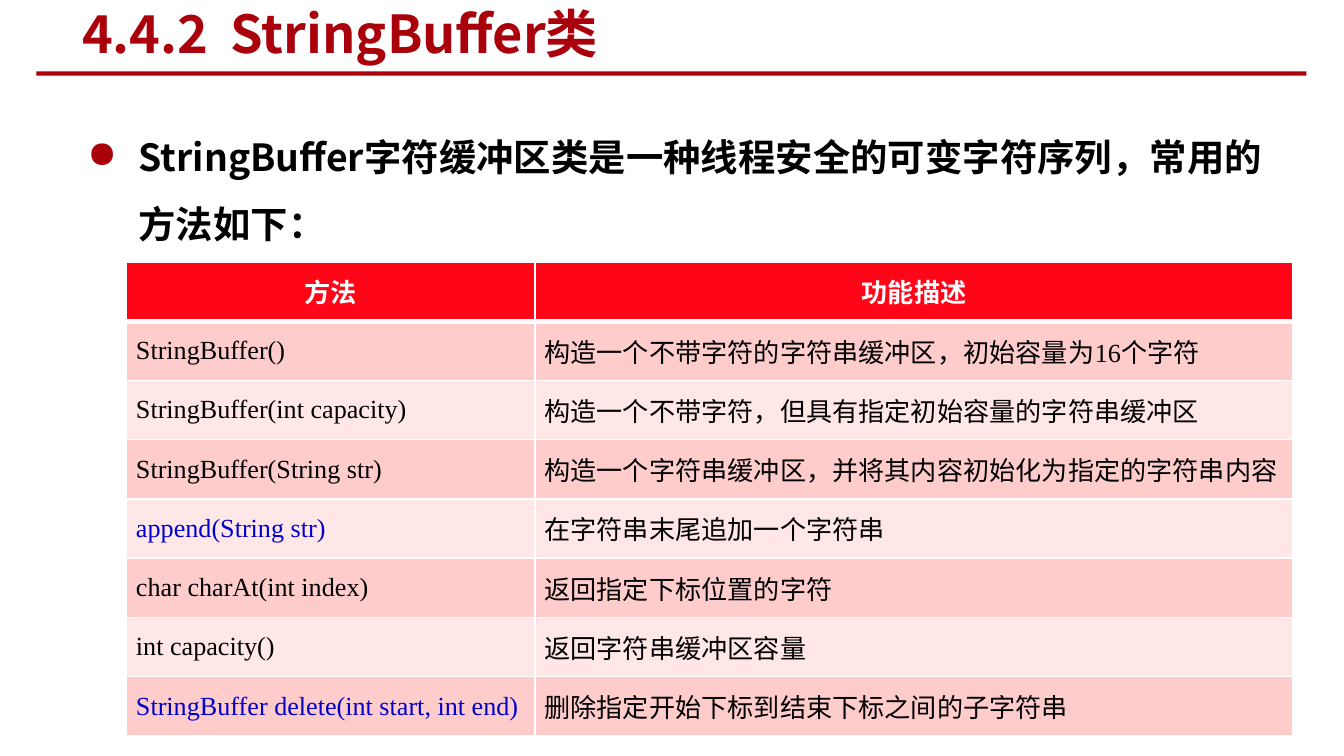
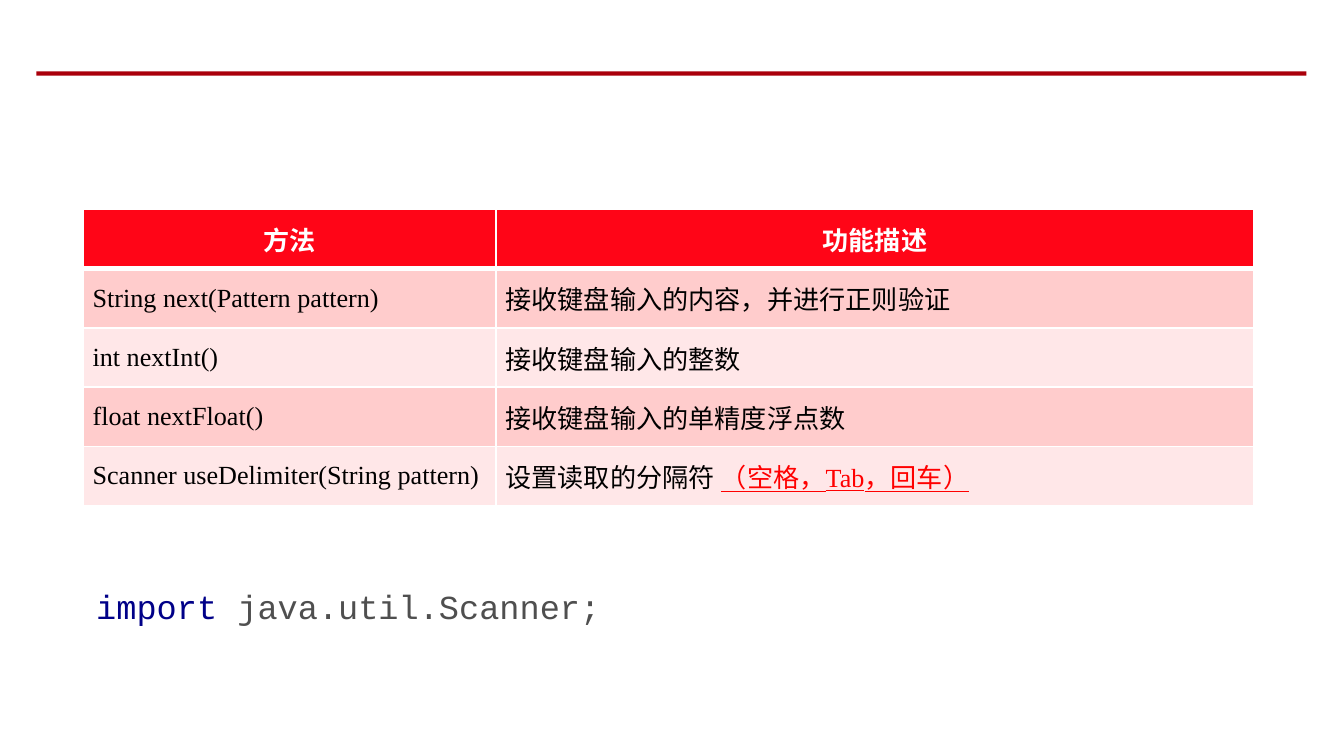
from dataclasses import dataclass

from lxml.etree import SubElement
from pptx import Presentation
from pptx.dml.color import RGBColor
from pptx.enum.shapes import MSO_SHAPE as Preset
from pptx.enum.text import MSO_ANCHOR as Anchor, MSO_AUTO_SIZE as AutoSize, PP_ALIGN as Align
from pptx.oxml.ns import qn
from pptx.slide import Slide
from pptx.table import _Cell as Cell
from pptx.text.text import TextFrame, _Paragraph as Paragraph
from pptx.util import Cm, Pt

COLORS = {
    "brand": "AA000B",
    "header": "FF0517",
    "odd row": "FFCCCC",
    "even row": "FFE7E8",
    "white": "FFFFFF",
    "black": "000000",
    "method": "0000CC",
    "alert": "FF0000",
    "keyword": "000088",
    "code": "4F4F4F",
}
HEADING_FONT = "Noto Sans CJK SC"
HEADER_FONT = "Calibri"
CELL_FONT = "Times New Roman"
CODE_FONT = "Courier New"
TITLE_ONLY, BLANK = 5, 6
ROW_HEIGHT = 1.12


@dataclass(frozen=True)
class Span:
    text: str
    color: str = "black"
    underline: bool = False
    tracking: float = 0


@dataclass(frozen=True)
class Method:
    signature: str
    effect: tuple[Span, ...]
    color: str = "black"


@dataclass(frozen=True)
class MethodTable:
    left: float
    top: float
    widths: tuple[float, float]
    methods: tuple[Method, ...]
    align: Align = Align.LEFT


def method(signature: str, effect: str, color: str = "black") -> Method:
    return Method(signature, (Span(effect),), color)


BUFFER_TABLE = MethodTable(2.39, 4.95, (7.72, 14.33), (
    method("StringBuffer()", "构造一个不带字符的字符串缓冲区，初始容量为16个字符"),
    method("StringBuffer(int capacity)", "构造一个不带字符，但具有指定初始容量的字符串缓冲区"),
    method("StringBuffer(String str)", "构造一个字符串缓冲区，并将其内容初始化为指定的字符串内容"),
    method("append(String str)", "在字符串末尾追加一个字符串", "method"),
    method("char charAt(int index)", "返回指定下标位置的字符"),
    method("int capacity()", "返回字符串缓冲区容量"),
    method("StringBuffer delete(int start, int end)",
           "删除指定开始下标到结束下标之间的子字符串", "method"),
))
SCANNER_TABLE = MethodTable(1.57, 3.96, (7.8, 14.33), (
    method("String next(Pattern pattern)", "接收键盘输入的内容，并进行正则验证"),
    method("int nextInt()", "接收键盘输入的整数"),
    method("float nextFloat()", "接收键盘输入的单精度浮点数"),
    Method("Scanner useDelimiter(String pattern)",
           (Span("设置读取的分隔符 "), Span("（空格，Tab，回车）", "alert", True))),
), Align.JUSTIFY)


def rgb(name: str) -> RGBColor:
    return RGBColor.from_string(COLORS[name])


def add_spans(para: Paragraph, spans: tuple[Span, ...], font: str, size: float,
              bold: bool = False) -> None:
    for span in spans:
        run = para.add_run()
        run.text = span.text
        run.font.name = font
        run.font.size = Pt(size)
        run.font.bold = bold
        run.font.color.rgb = rgb(span.color)
        if span.underline:
            run.font.underline = True
        properties = run.font._element
        if span.tracking:
            properties.set("spc", str(round(span.tracking * 100)))
        SubElement(properties, qn("a:ea"), typeface=HEADING_FONT)


def add_bullet(para: Paragraph, symbol: str, color: str, indent: float) -> None:
    properties = para._p.get_or_add_pPr()
    properties.set("marL", str(Cm(indent)))
    properties.set("indent", str(-Cm(indent)))
    bullet_color = SubElement(properties, qn("a:buClr"))
    SubElement(bullet_color, qn("a:srgbClr"), val=COLORS[color])
    SubElement(properties, qn("a:buChar"), char=symbol)


def add_rule(page: Slide) -> None:
    rule = page.shapes.add_shape(Preset.RECTANGLE, Cm(0.69), Cm(1.35), Cm(24), Cm(0.08))
    rule.shadow.inherit = False
    rule.fill.solid()
    rule.fill.fore_color.rgb = rgb("brand")
    rule.line.fill.background()


def set_title(page: Slide, spans: tuple[Span, ...]) -> None:
    title = page.shapes.title
    title.left, title.top, title.width, title.height = Cm(1.3), Cm(0.05), Cm(13.46), Cm(1.14)
    frame = title.text_frame
    frame.auto_size = AutoSize.NONE
    frame.vertical_anchor = Anchor.MIDDLE
    para = frame.paragraphs[0]
    para.alignment = Align.LEFT
    add_spans(para, spans, HEADING_FONT, 28, bold=True)


def add_box(page: Slide, left: float, top: float, width: float, height: float) -> TextFrame:
    box = page.shapes.add_textbox(Cm(left), Cm(top), Cm(width), Cm(height))
    box.text_frame.word_wrap = True
    return box.text_frame


def set_borders(cell: Cell, top: float, bottom: float) -> None:
    properties = cell._tc.get_or_add_tcPr()
    sides = (("a:lnL", 1), ("a:lnR", 1), ("a:lnT", top), ("a:lnB", bottom))
    for position, (tag, width) in enumerate(sides):
        line = properties.makeelement(qn(tag), {"w": str(Pt(width))})
        fill = SubElement(line, qn("a:solidFill"))
        SubElement(fill, qn("a:srgbClr"), val=COLORS["white"])
        properties.insert(position, line)


def fill_cell(cell: Cell, spans: tuple[Span, ...], row: int, align: Align) -> None:
    is_header = row == 0
    cell.fill.solid()
    cell.fill.fore_color.rgb = rgb("header" if is_header else "odd row" if row % 2 else "even row")
    set_borders(cell, top=3 if row == 1 else 1, bottom=3 if is_header else 1)
    cell.margin_left = cell.margin_right = Cm(0.18)
    cell.margin_top = cell.margin_bottom = 0
    cell.vertical_anchor = Anchor.MIDDLE
    para = cell.text_frame.paragraphs[0]
    para.alignment = Align.CENTER if is_header else align
    add_spans(para, spans, HEADER_FONT if is_header else CELL_FONT, 14, is_header)


def add_method_table(page: Slide, spec_table: MethodTable) -> None:
    header = Method("方法", (Span("功能描述", "white"),), "white")
    rows = (header, *spec_table.methods)
    table = page.shapes.add_table(
        len(rows), 2, Cm(spec_table.left), Cm(spec_table.top),
        Cm(sum(spec_table.widths)), Cm(ROW_HEIGHT * len(rows))).table
    for column, width in zip(table.columns, spec_table.widths):
        column.width = Cm(width)
    for index, entry in enumerate(rows):
        table.rows[index].height = Cm(ROW_HEIGHT)
        signature = (Span(entry.signature, entry.color),)
        for column, spans in enumerate((signature, entry.effect)):
            fill_cell(table.cell(index, column), spans, index, spec_table.align)


def build_buffer_page(page: Slide) -> None:
    add_rule(page)
    # The widened space sets the section number apart
    set_title(page, (Span("4.4.2", "brand"), Span(" ", "brand", tracking=5.6),
                     Span("StringBuffer类", "brand")))
    # Introduction
    para = add_box(page, 1.4, 1.98, 22.81, 11.91).paragraphs[0]
    para.line_spacing = 1.5
    add_bullet(para, "●", "brand", 0.97)
    add_spans(para, (Span("StringBuffer字符缓冲区类是一种线程安全的可变字符序列，常用的方法如下："),),
              HEADING_FONT, 20, bold=True)
    add_method_table(page, BUFFER_TABLE)


def build_scanner_page(page: Slide) -> None:
    add_rule(page)
    add_method_table(page, SCANNER_TABLE)
    # Import statement
    frame = add_box(page, 1.57, 10.95, 13.18, 1.02)
    frame.auto_size = AutoSize.SHAPE_TO_FIT_TEXT
    add_spans(frame.paragraphs[0], (Span("import ", "keyword"), Span("java.util.Scanner;", "code")),
              CODE_FONT, 18)


def main() -> None:
    deck = Presentation()
    deck.slide_width, deck.slide_height = Cm(25.4), Cm(14.29)
    build_buffer_page(deck.slides.add_slide(deck.slide_layouts[TITLE_ONLY]))
    build_scanner_page(deck.slides.add_slide(deck.slide_layouts[BLANK]))
    deck.save("out.pptx")


if __name__ == "__main__":
    main()
